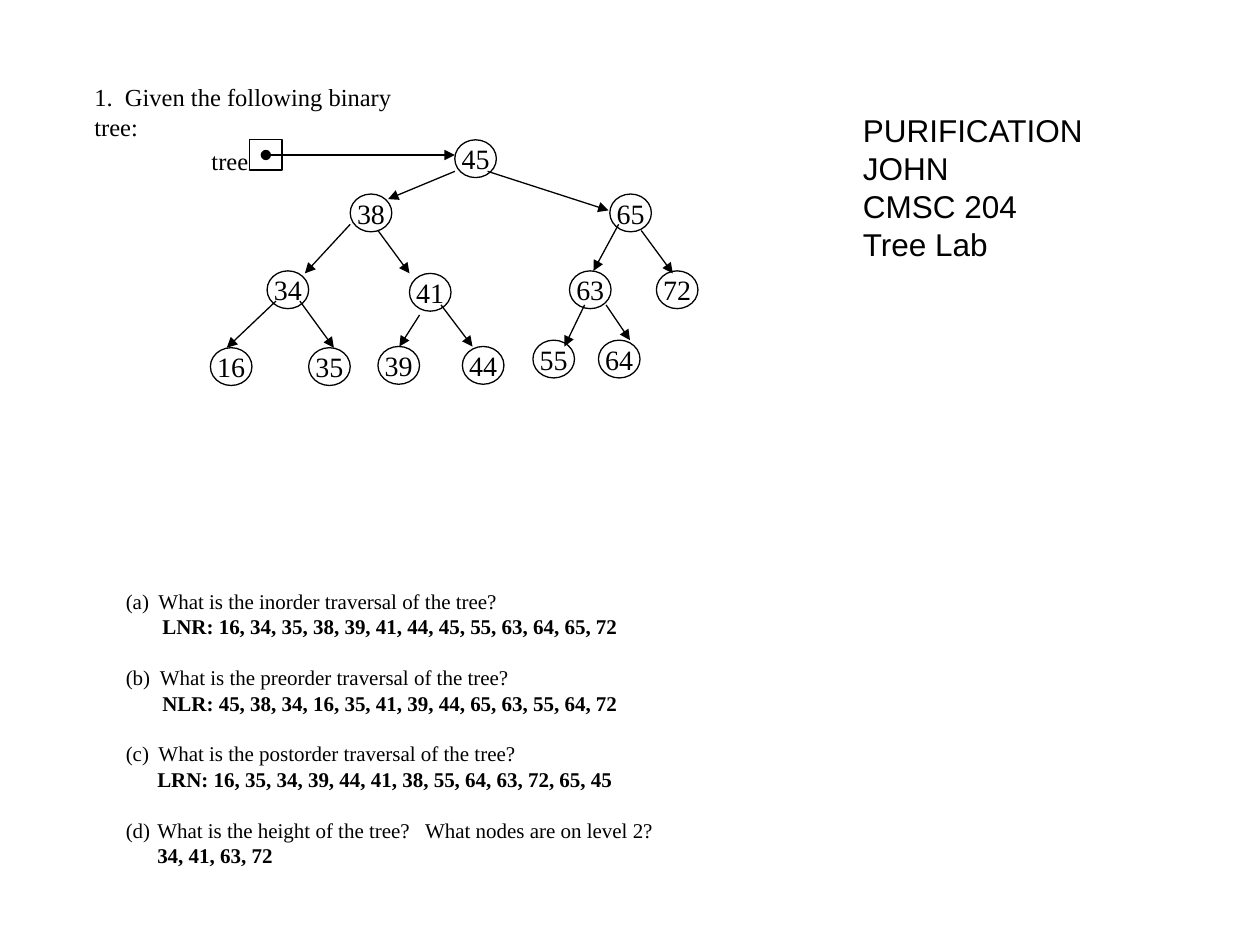
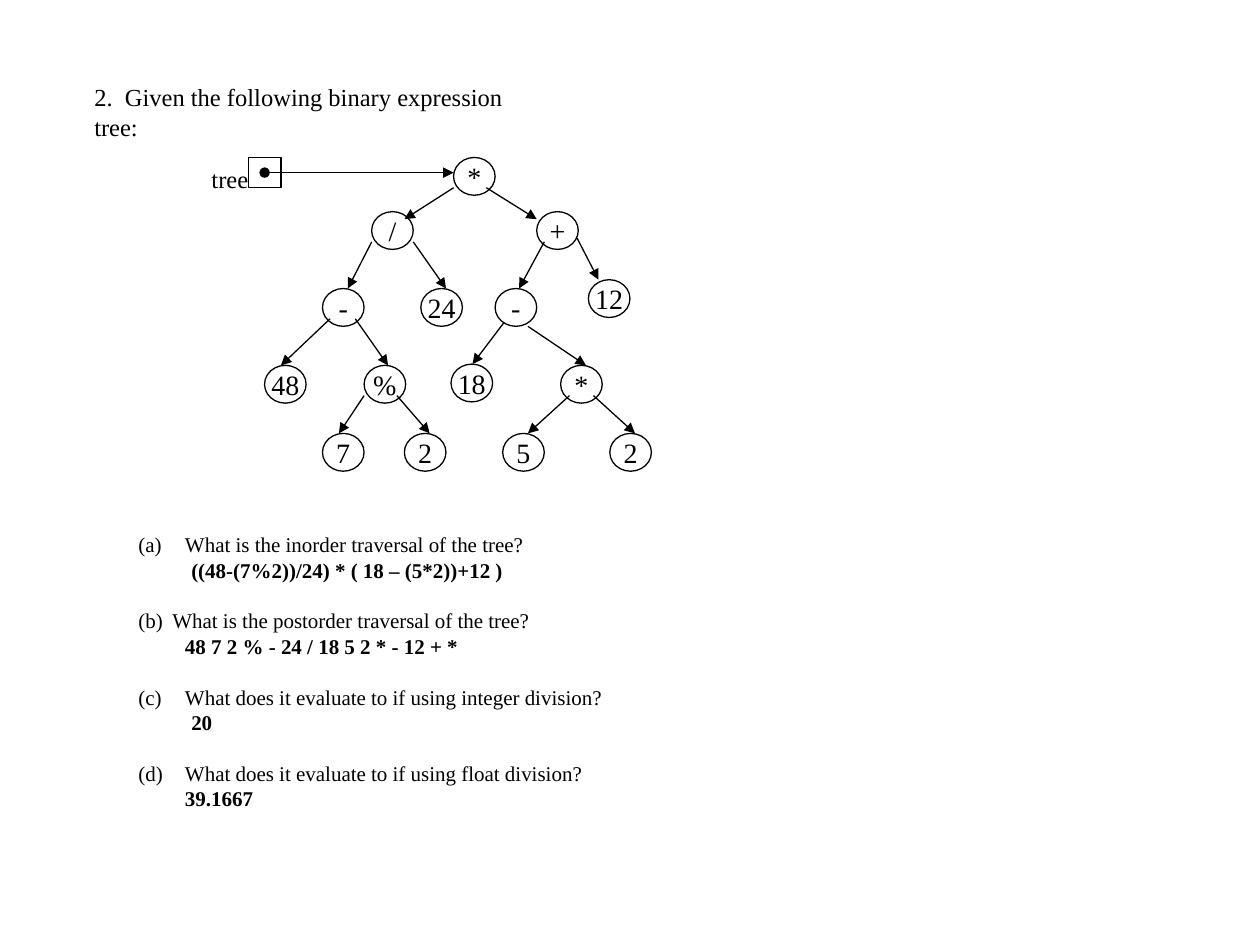
"""Build two worksheet slides about binary tree traversal."""
import pptx
import pptx.util
import pptx.dml.color
import pptx.enum.shapes
import pptx.enum.text
import pptx.oxml.ns
import lxml.etree

Inches = pptx.util.Inches
Pt = pptx.util.Pt
BLACK = pptx.dml.color.RGBColor(0, 0, 0)
SERIF, SANS = "Times New Roman", "Arial"
NODE_WIDTH, NODE_HEIGHT = 0.33, 0.3
LINE_HEIGHTS = {12: 14.5, 14: 17, 18: 21.7}

# Each node: label, left, top, then start and end of the arrow from its parent.
WORKSHEETS = [
    {
        "title": "1.  Given the following binary tree:",
        "title_width": 2.95,
        "root_left": 3.61,
        "root_top": 1.11,
        "nodes": [
            ("45", 3.61, 1.11, None, None),
            ("38", 2.78, 1.54, (3.61, 1.36), (3.08, 1.58)),
            ("65", 4.84, 1.54, (3.87, 1.36), (4.83, 1.67)),
            ("34", 2.12, 2.15, (2.78, 1.78), (2.42, 2.17)),
            ("41", 3.25, 2.17, (3, 1.83), (3.25, 2.17)),
            ("63", 4.52, 2.15, (4.91, 1.78), (4.71, 2.15)),
            ("72", 5.21, 2.15, (5.09, 1.83), (5.34, 2.17)),
            ("16", 1.67, 2.76, (2.19, 2.39), (1.8, 2.76)),
            ("35", 2.45, 2.76, (2.38, 2.39), (2.65, 2.76)),
            ("39", 3, 2.75, (3.33, 2.5), (3.17, 2.75)),
            ("44", 3.67, 2.75, (3.5, 2.42), (3.75, 2.75)),
            ("55", 4.23, 2.7, (4.64, 2.42), (4.48, 2.75)),
            ("64", 4.75, 2.7, (4.81, 2.42), (5, 2.7)),
        ],
        "question_box": (0.9, 4.62, 4.44, 2.32),
        "questions": [
            ("What is the inorder traversal of the tree?", 0.26,
             "LNR: 16, 34, 35, 38, 39, 41, 44, 45, 55, 63, 64, 65, 72", 0.29),
            ("What is the preorder traversal of the tree?", 0.27,
             "NLR: 45, 38, 34, 16, 35, 41, 39, 44, 65, 63, 55, 64, 72", 0.29),
            ("What is the postorder traversal of the tree?", 0.26,
             "LRN: 16, 35, 34, 39, 44, 41, 38, 55, 64, 63, 72, 65, 45", 0.25),
            ("What is the height of the tree?   What nodes are on level 2?", 0.25,
             "34, 41, 63, 72", 0.25),
        ],
        "credit": ["PURIFICATION JOHN", "CMSC 204", "Tree Lab"],
    },
    {
        "title": "2.  Given the following binary expression tree:",
        "title_width": 3.83,
        "root_left": 3.6,
        "root_top": 1.25,
        "nodes": [
            ("*", 3.6, 1.25, None, None),
            ("/", 2.95, 1.68, (3.6, 1.49), (3.21, 1.74)),
            ("+", 4.26, 1.68, (3.86, 1.49), (4.26, 1.74)),
            ("-", 2.56, 2.29, (2.95, 1.92), (2.76, 2.29)),
            ("24", 3.34, 2.29, (3.28, 1.92), (3.54, 2.29)),
            ("-", 3.93, 2.29, (4.32, 1.92), (4.12, 2.29)),
            ("12", 4.67, 2.22, (4.58, 1.89), (4.75, 2.22)),
            ("48", 2.1, 2.9, (2.62, 2.53), (2.23, 2.9)),
            ("%", 2.89, 2.9, (2.82, 2.53), (3.08, 2.9)),
            ("18", 3.58, 2.89, (4, 2.56), (3.75, 2.89)),
            ("*", 4.45, 2.9, (4.19, 2.59), (4.65, 2.9)),
            ("7", 2.56, 3.44, (2.89, 3.14), (2.69, 3.44)),
            ("2", 3.21, 3.44, (3.15, 3.14), (3.41, 3.44)),
            ("5", 3.99, 3.44, (4.52, 3.14), (4.19, 3.44)),
            ("2", 4.84, 3.44, (4.71, 3.14), (5.04, 3.44)),
        ],
        "question_box": (1, 4.17, 3.94, 2.73),
        "questions": [
            ("What is the inorder traversal of the tree?", 0.37,
             "((48-(7%2))/24) * ( 18 – (5*2))+12 )", 0.42),
            ("What is the postorder traversal of the tree?", 0.27,
             "48 7 2 % - 24 / 18 5 2 * - 12 + *", 0.37),
            ("What does it evaluate to if using integer division?", 0.37,
             "20", 0.42),
            ("What does it evaluate to if using float division?", 0.37,
             "39.1667", 0.37),
        ],
        "credit": [],
    },
]


def add_child(parent, tag, **attributes):
    return lxml.etree.SubElement(parent, pptx.oxml.ns.qn(tag), attributes)


def add_run(paragraph, text, size, font=SERIF, bold=False):
    run = paragraph.add_run()
    run.text = text
    run.font.name, run.font.size, run.font.bold = font, Pt(size), bold
    run.font.color.rgb = BLACK
    if size in LINE_HEIGHTS:
        paragraph.line_spacing = Pt(LINE_HEIGHTS[size])


def add_text(shapes, box, lines, size, font=SERIF, wrap=True):
    shape = shapes.add_textbox(*map(Inches, box))
    frame = shape.text_frame
    frame.word_wrap = wrap
    for index, line in enumerate(lines):
        paragraph = frame.add_paragraph() if index else frame.paragraphs[0]
        add_run(paragraph, line, size, font)
    return shape


def add_outline(shapes, kind, *box):
    shape = shapes.add_shape(kind, *map(Inches, box))
    shape.shadow.inherit = False
    shape.fill.background()
    shape.line.color.rgb, shape.line.width = BLACK, Pt(0.75)
    return shape


def add_arrow(shapes, start, end, dotted_start=False):
    connector = shapes.add_connector(
        pptx.enum.shapes.MSO_CONNECTOR.STRAIGHT, *map(Inches, (*start, *end)))
    connector.line.color.rgb, connector.line.width = BLACK, Pt(0.75)
    outline = connector.line._get_or_add_ln()
    if dotted_start:
        add_child(outline, "a:headEnd", type="oval")
    add_child(outline, "a:tailEnd", type="triangle")
    add_child(connector._element.spPr, "a:effectLst")


def add_node(shapes, label, left, top):
    node = add_outline(shapes, pptx.enum.shapes.MSO_SHAPE.OVAL,
                       left, top, NODE_WIDTH, NODE_HEIGHT)
    frame = node.text_frame
    frame.word_wrap = False
    frame.vertical_anchor = pptx.enum.text.MSO_ANCHOR.MIDDLE
    frame.paragraphs[0].alignment = pptx.enum.text.PP_ALIGN.CENTER
    add_run(frame.paragraphs[0], label, 16)


def add_tree(slide, sheet):
    shapes = slide.shapes.add_group_shape().shapes
    left, top = sheet["root_left"], sheet["root_top"]
    for label, node_left, node_top, start, end in sheet["nodes"]:
        add_node(shapes, label, node_left, node_top)
        if start:
            add_arrow(shapes, start, end)
    add_outline(shapes, pptx.enum.shapes.MSO_SHAPE.RECTANGLE,
                left - 1.63, top, 0.26, 0.24)
    add_text(shapes, (1.58, top, 0.49, 0.33), ["tree"], 14, wrap=False)
    add_arrow(shapes, (left - 1.5, top + 0.12), (left, top + 0.12), True)


def add_questions(slide, box, questions):
    frame = slide.shapes.add_textbox(*map(Inches, box)).text_frame
    frame.word_wrap = True
    for number, (question, indent, answer, answer_indent) in enumerate(questions, 1):
        paragraph = frame.paragraphs[0] if number == 1 else frame.add_paragraph()
        if number > 1:
            paragraph.space_before = Pt(LINE_HEIGHTS[12])
        add_run(paragraph, question, 12)
        properties = paragraph._p.get_or_add_pPr()
        properties.set("marL", str(Inches(indent)))
        properties.set("indent", str(-Inches(indent)))
        add_child(properties, "a:buAutoNum", type="alphaLcParenBoth", startAt=str(number))
        paragraph = frame.add_paragraph()
        add_run(paragraph, answer, 12, bold=True)
        properties = paragraph._p.get_or_add_pPr()
        properties.set("marL", str(Inches(answer_indent)))
        properties.set("indent", "0")


presentation = pptx.Presentation()
presentation.slide_width, presentation.slide_height = Inches(10), Inches(7.5)
for sheet in WORKSHEETS:
    slide = presentation.slides.add_slide(presentation.slide_layouts[6])
    title = add_text(slide.shapes, (0.65, 0.6, sheet["title_width"], 0.33),
                     [sheet["title"]], 14)
    title.text_frame.margin_right = Inches(0.25)
    add_questions(slide, sheet["question_box"], sheet["questions"])
    add_tree(slide, sheet)
    if sheet["credit"]:
        add_text(slide.shapes, (6.75, 0.83, 2.34, 1.31), sheet["credit"], 18, SANS)
presentation.save("out.pptx")
